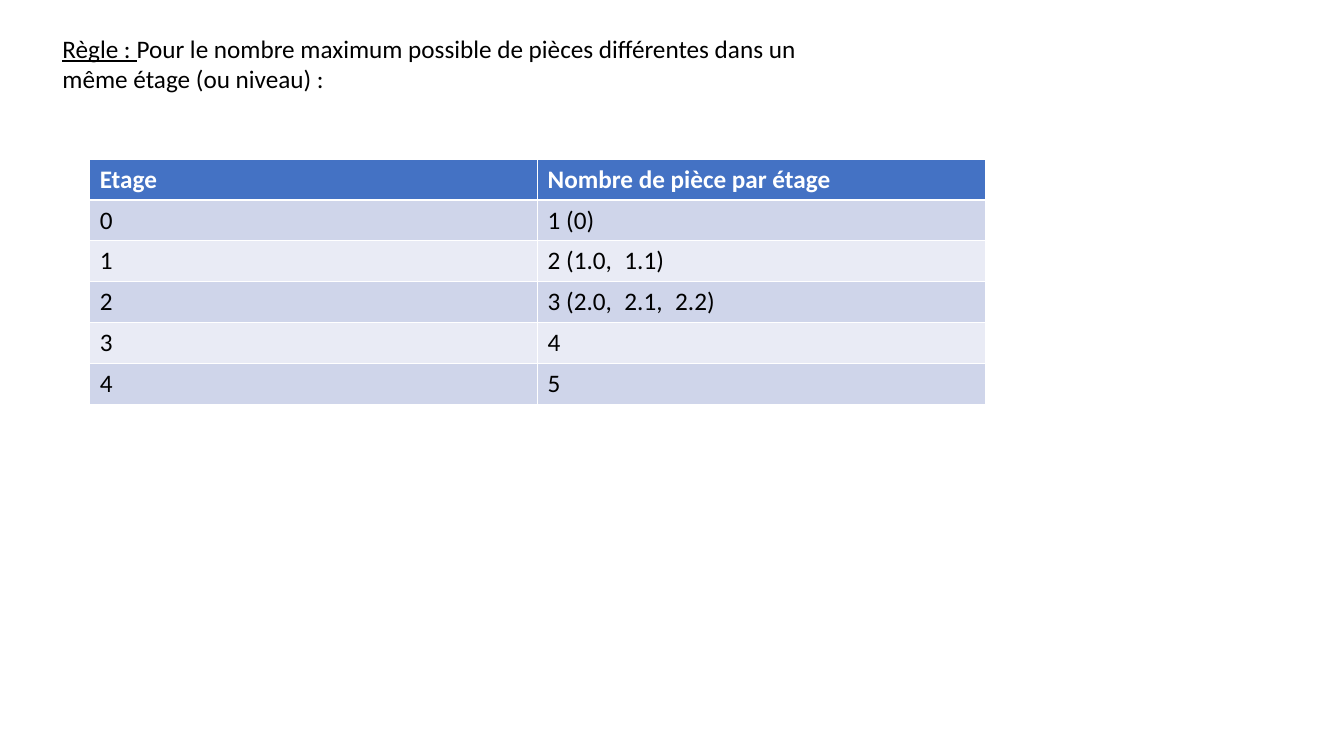
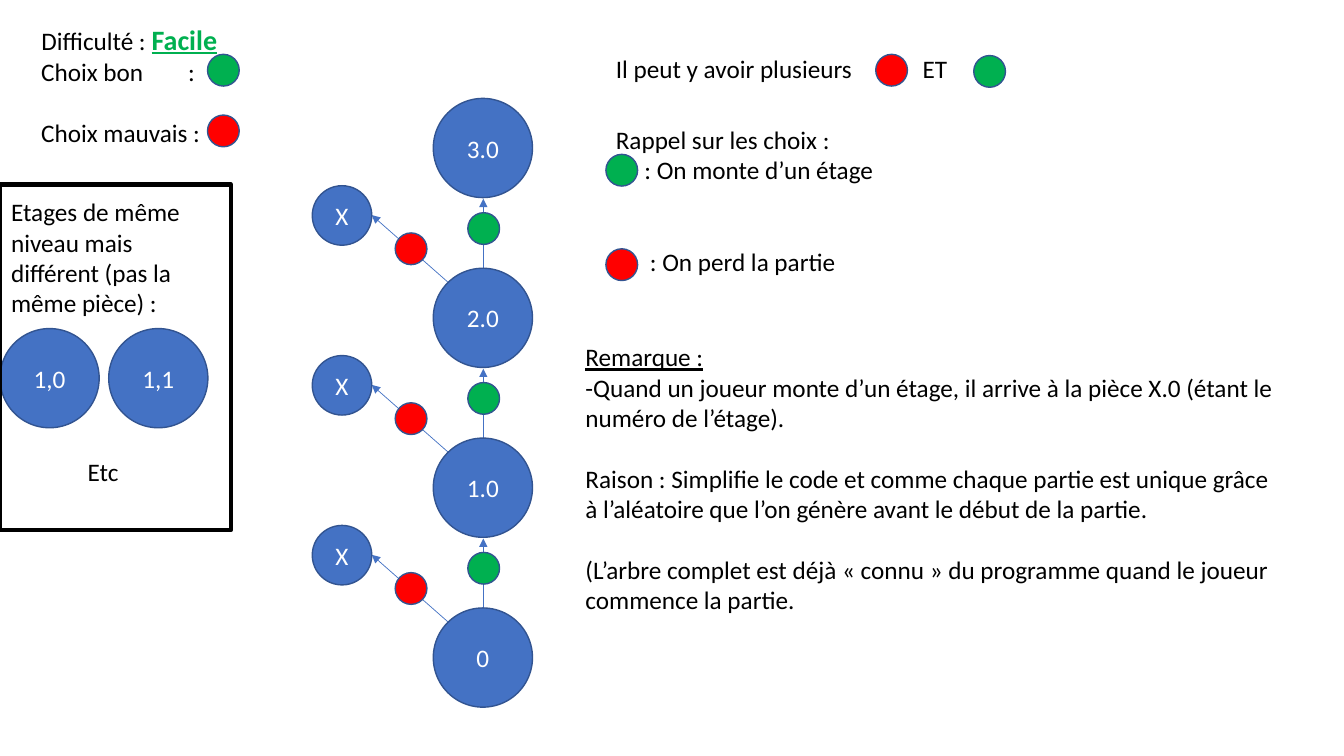
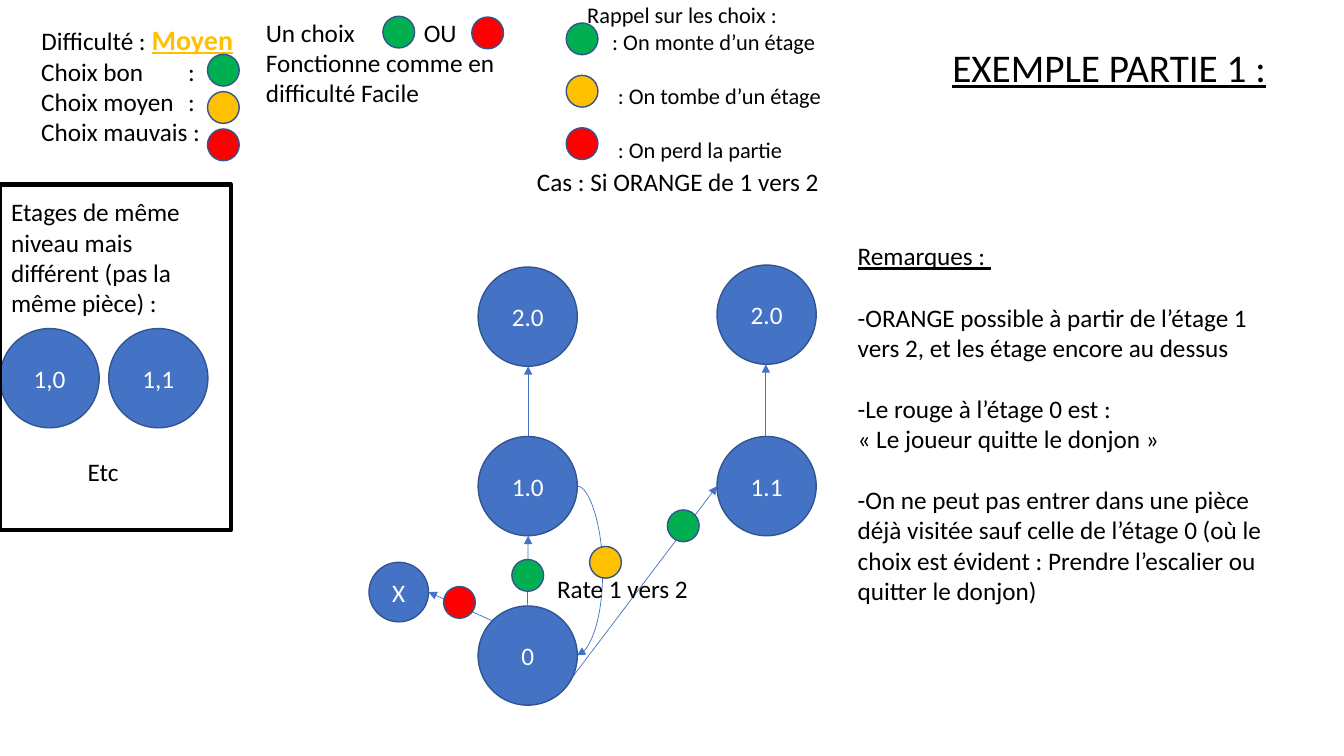
"""Build three slides on the rooms and choices of a dungeon game."""
from dataclasses import dataclass
from pptx import Presentation
from pptx.dml.color import RGBColor
from pptx.enum.shapes import MSO_CONNECTOR, MSO_SHAPE
from pptx.enum.text import MSO_ANCHOR, MSO_AUTO_SIZE, PP_ALIGN
from pptx.oxml.ns import qn
from pptx.util import Cm, Pt
from lxml import etree

OVAL, RECT = MSO_SHAPE.OVAL, MSO_SHAPE.RECTANGLE
LINE, CURVE = MSO_CONNECTOR.STRAIGHT, MSO_CONNECTOR.CURVE
LEFT, MID = PP_ALIGN.LEFT, PP_ALIGN.CENTER
TOP, CORE = MSO_ANCHOR.TOP, MSO_ANCHOR.MIDDLE
FIXED = MSO_AUTO_SIZE.NONE


@dataclass
class Theme:
    font = "Calibri"
    black, white = RGBColor(0, 0, 0), RGBColor(255, 255, 255)
    blue, edge = RGBColor.from_string("4472C4"), RGBColor.from_string("325491")
    green, red = RGBColor.from_string("00B050"), RGBColor.from_string("FF0000")
    gold = RGBColor.from_string("FFC000")
    bands = RGBColor.from_string("CFD5EA"), RGBColor.from_string("E9EBF5")
    big, room, dot = 2.5, 1.5, 0.8
    row = 22
    looks = {
        "plain": (18, black, False, False),
        "under": (18, black, False, True),
        "small": (16, black, False, False),
        "banner": (28, black, False, True),
        "easy": (20, green, True, True),
        "medium": (20, gold, True, True),
        "head": (18, white, True, False),
        "node": (18, white, False, False),
    }


@dataclass
class Para:
    text: str
    look: str = "plain"
    gap: float = 0
    indent: float = 0
    more: tuple = ()


def write(frame, paras, align=LEFT, anchor=TOP):
    frame.word_wrap = True
    frame.auto_size = FIXED
    frame.vertical_anchor = anchor
    for i, para in enumerate(paras):
        line = frame.add_paragraph() if i else frame.paragraphs[0]
        line.alignment = align
        line.space_before = Pt(para.gap)
        props = line._p.get_or_add_pPr()
        props.set("marL", str(Cm(para.indent)))
        props.set("indent", "0")
        etree.SubElement(props, qn("a:buNone"))
        for text, look in ((para.text, para.look), *para.more):
            run = line.add_run()
            run.text = text
            font = run.font
            size, font.color.rgb, font.bold, font.underline = T.looks[look]
            font.size = Pt(size)
            font.name = T.font


def place(shape, spot):
    shape.left, shape.top, shape.width, shape.height = map(Cm, spot)
    return shape


T = Theme()
deck = Presentation()
deck.slide_width, deck.slide_height = Cm(33.87), Cm(19.05)

slide = deck.slides.add_slide(deck.slide_layouts[5])
rule = place(slide.shapes.title, (1.32, 0.71, 19.81, 2.57))
write(rule.text_frame, [Para("Règle : ", "under", more=((
    "Pour le nombre maximum possible de pièces différentes dans un "
    "même étage (ou niveau) :", "plain"),))])

rows = [
    ("Etage", "Nombre de pièce par étage"),
    ("0", "1 (0)"),
    ("1", "2 (1.0,\u20021.1)"),
    ("2", "3 (2.0,\u20022.1,\u20022.2)"),
    ("3", "4"),
    ("4", "5"),
]
grid = slide.shapes.add_table(
    len(rows), 2, Cm(2.26), Cm(4.01), Cm(22.58), Cm(6.18)).table
for r, row in enumerate(rows):
    for c, text in enumerate(row):
        cell = grid.cell(r, c)
        cell.fill.solid()
        cell.fill.fore_color.rgb = T.bands[(r - 1) % 2] if r else T.blue
        write(cell.text_frame, [Para(text, "plain" if r else "head")])

easy = {
    "title": ("Facile", "easy"),
    "notes": ((14.5, 8.48, 18.01, 7.19), [
        Para("Remarque :", "under"),
        Para("-Quand un joueur monte d’un étage, il arrive à la pièce X.0 "
             "(étant le numéro de l’étage)."),
        Para("Raison : Simplifie le code et comme chaque partie est unique grâce "
             "à l’aléatoire que l’on génère avant le début de la partie.", gap=T.row),
        Para("(L’arbre complet est déjà «\u00a0connu\u00a0» du programme quand le joueur",
             gap=T.row),
        Para("commence la partie."),
    ]),
    "texts": [
        ((0.79, 1.29, 4.6, 2.57), [
            Para("Choix bon"), Para("Choix mauvais :", gap=T.row)]),
        ((4.49, 1.29, 0.8, 1.02), [Para(":")]),
        ((15.27, 1.22, 6.8, 1.02), [Para("Il peut y avoir plusieurs")]),
        ((23, 1.22, 1.4, 1.02), [Para("ET")]),
        ((15.27, 3, 8.92, 4.11), [
            Para("Rappel sur les choix :"),
            Para(": On monte d’un étage", indent=0.72),
            Para(": On perd la partie", gap=2 * T.row, indent=0.86)]),
    ],
    "nodes": [],
    "dots": [
        (5.23, 1.37, T.green), (5.23, 2.9, T.red),
        (22.07, 1.37, T.red), (24.54, 1.4, T.green),
        (15.27, 6.27, T.red), (15.27, 3.89, T.green),
    ],
    "links": [],
}
for floor, name in enumerate(("0", "1.0", "2.0", "3.0")):
    top = 15.32 - 4.28 * floor
    easy["nodes"].append((10.92, top, T.big, name))
    if name != "3.0":
        easy["nodes"].append((7.87, top - 2.08, T.room, "X"))
        easy["dots"] += [(9.96, top - 0.89, T.red), (11.79, top - 1.4, T.green)]
        easy["links"] += [(LINE, 11.3, top + 0.36, 9.37, top - 1.34),
                          (LINE, 12.18, top, 12.18, top - 1.75)]

medium = {
    "title": ("Moyen", "medium"),
    "notes": ((21.36, 5.94, 10.92, 9.5), [
        Para("Remarques : ", "under"),
        Para("-ORANGE possible à partir de l’étage 1 vers 2, et les étage "
             "encore au dessus", gap=T.row),
        Para("-Le rouge à l’étage 0 est :", gap=T.row),
        Para("«\u00a0Le joueur quitte le donjon\u00a0»"),
        Para("-On ne peut pas entrer dans une pièce déjà visitée sauf celle de "
             "l’étage 0 (où le choix est évident : Prendre l’escalier ou quitter "
             "le donjon)", gap=T.row),
    ]),
    "texts": [
        ((0.79, 1.29, 4.6, 2.57), [
            Para("Choix bon"), Para("Choix moyen"), Para("Choix mauvais :")]),
        ((4.49, 1.29, 0.8, 1.8), [Para(":"), Para(":")]),
        ((6.45, 0.3, 6.65, 2.57), [
            Para("Un choix"), Para("Fonctionne comme en difficulté Facile")]),
        ((10.43, 0.3, 1.5, 1.02), [Para("OU")]),
        ((13.65, 4.06, 8.92, 1.02), [Para("Cas : Si ORANGE de 1 vers 2")]),
        ((13.79, 14.33, 4.11, 1.02), [Para("Rate 1 vers 2")]),
        ((14.55, -0.1, 7.77, 4.37), [
            Para("Rappel sur les choix :", "small"),
            Para(": On monte d’un étage", "small", indent=0.63),
            Para(": On tombe d’un étage", "small", 19.5, 0.77),
            Para(": On perd la partie", "small", 19.5, 0.77)]),
        ((23.75, 0.97, 8.86, 1.45), [Para("EXEMPLE PARTIE 1 :", "banner")]),
    ],
    "nodes": [
        (12.05, 6.73, T.big, "2.0"), (12.05, 11, T.big, "1.0"),
        (12.05, 15.27, T.big, "0"), (18.07, 6.68, T.big, "2.0"),
        (18.07, 11, T.big, "1.1"), (9.3, 14.17, T.room, "X"),
    ],
    "dots": [
        (9.65, 0.41, T.green), (11.89, 0.43, T.red),
        (11.18, 14.78, T.red), (14.86, 13.77, T.gold),
        (16.82, 12.85, T.green), (12.9, 14.1, T.green),
    ],
    "links": [
        (LINE, 12.42, 15.65, 10.8, 14.92), (LINE, 13.31, 11, 13.31, 9.23),
        (CURVE, 14.55, 12.25, 14.54, 16.51), (LINE, 14.17, 17.4, 18.07, 12.25),
        (LINE, 19.3, 11, 19.3, 9.18), (LINE, 13.29, 15.27, 13.31, 13.5),
    ],
}
medium["texts"][4] = ((13.28, *medium["texts"][4][0][1:]), medium["texts"][4][1])
for i, tone in enumerate((T.green, T.gold, T.red)):
    medium["dots"] += [(5.23, 1.37 + 0.94 * i, tone), (14.27, 0.58 + 1.32 * i, tone)]

pair = [(0, 8.28, T.big, "1,0"), (2.74, 8.28, T.big, "1,1")]
aside = [
    ((0.03, 4.83, 5.36, 3.33), [
        Para("Etages de même niveau mais différent (pas la même pièce) :")]),
    ((1.96, 11.38, 1.88, 1.02), [Para("Etc")]),
]

for page in (easy, medium):
    slide = deck.slides.add_slide(deck.slide_layouts[1])
    shapes = slide.shapes
    title = place(shapes.title, (0.79, 0.43, 5.82, 1))
    write(title.text_frame, [Para("Difficulté : ", more=(page["title"],))])

    for kind, *ends in page["links"]:
        link = shapes.add_connector(kind, *map(Cm, ends))
        link.line.color.rgb = T.blue
        link.line.width = Pt(0.5)
        etree.SubElement(link.line._get_or_add_ln(), qn("a:tailEnd"), type="triangle")
        props = link._element.spPr
        etree.SubElement(props, qn("a:effectLst"))
        if kind == CURVE:
            guides = props.find(qn("a:prstGeom")).get_or_add_avLst()
            etree.SubElement(guides, qn("a:gd"), name="adj1", fmla="val -6400000")

    discs = [(x, y, size, T.blue, name) for x, y, size, name in pair + page["nodes"]]
    discs += [(x, y, T.dot, tone, "") for x, y, tone in page["dots"]]
    for x, y, size, tone, name in discs:
        disc = shapes.add_shape(OVAL, Cm(x), Cm(y), Cm(size), Cm(size))
        disc.shadow.inherit = False
        disc.fill.solid()
        disc.fill.fore_color.rgb = tone
        disc.line.color.rgb = T.edge
        disc.line.width = Pt(1)
        if name:
            write(disc.text_frame, [Para(name, "node")], MID, CORE)

    frame = shapes.add_shape(RECT, Cm(0), Cm(4.65), Cm(5.82), Cm(8.71))
    frame.shadow.inherit = False
    frame.fill.background()
    frame.line.color.rgb = T.black
    frame.line.width = Pt(3)

    for spot, paras in aside + page["texts"]:
        write(shapes.add_textbox(*map(Cm, spot)).text_frame, paras)
    spot, paras = page["notes"]
    write(place(slide.placeholders[1], spot).text_frame, paras)

deck.save("out.pptx")
